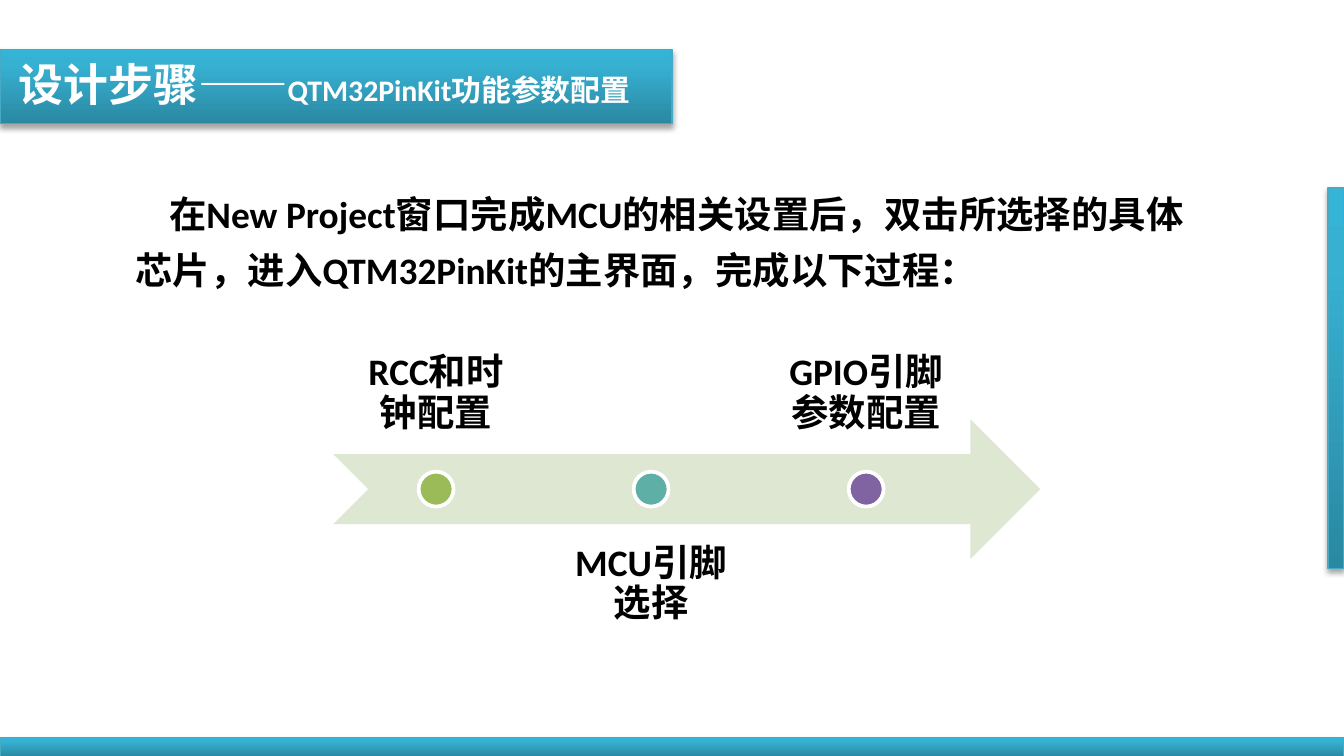
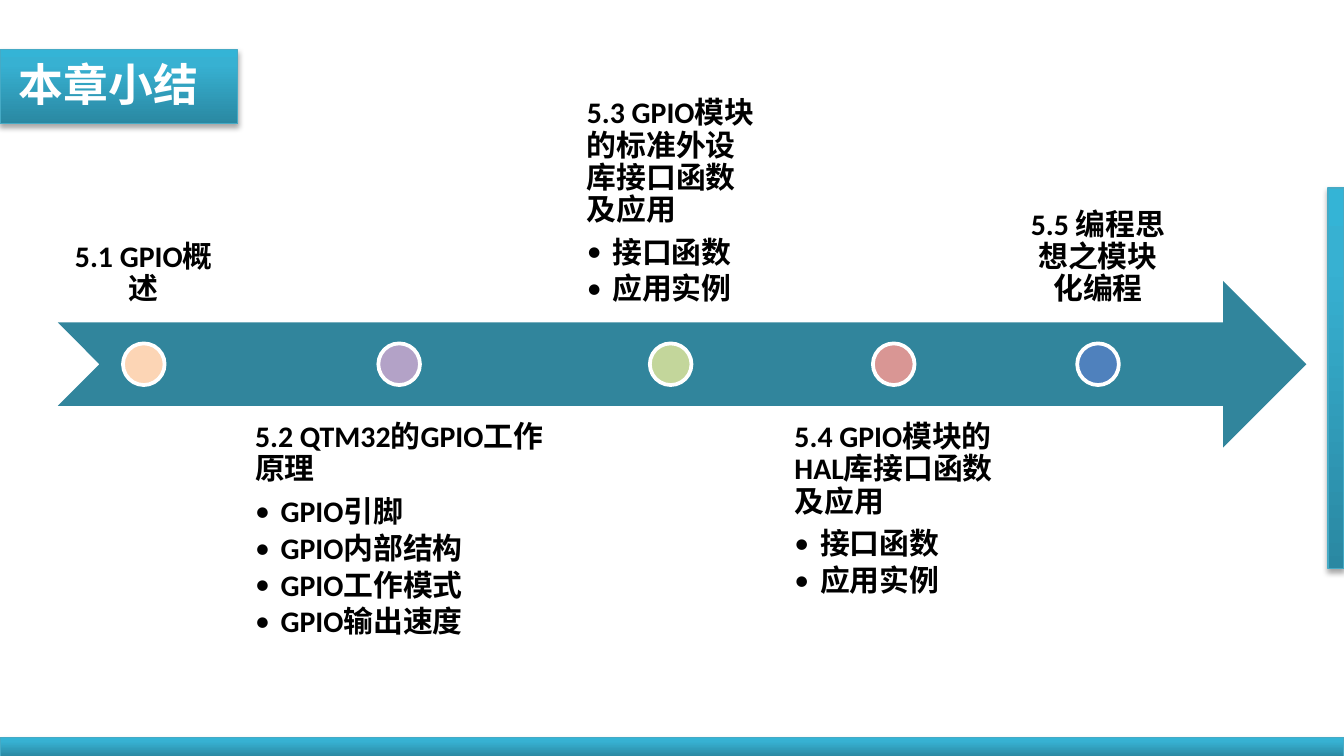
from copy import deepcopy

from lxml.etree import SubElement
from pptx import Presentation
from pptx.dml.color import RGBColor
from pptx.enum.shapes import MSO_SHAPE
from pptx.enum.text import MSO_ANCHOR, MSO_AUTO_SIZE, PP_ALIGN
from pptx.oxml.ns import qn
from pptx.util import Inches, Pt

COLORS = {
    "band_dark": "2A88A2", "band_mid": "37B1D2", "band_light": "34B4D6",
    "band_edge": "46AAC5", "white": "FFFFFF", "black": "000000",
    "pale_green": "DEE7D1", "teal": "31859C",
    "green": "9BBB59", "sea": "5EAFA6", "purple": "8064A2",
    "peach": "FCD5B5", "lilac": "B3A2C7", "lime": "C3D69B",
    "rose": "D99694", "blue": "4F81BD",
}
BAND_STOPS = [(0, "band_dark"), (0.8, "band_mid"), (1, "band_light")]
LATIN, CJK = "Calibri", "Noto Sans CJK SC"

CONFIG_STEPS = [  # label width, dot colour, heading, points
    (1.53, "green", "RCC和时钟配置", []),
    (1.53, "sea", "MCU引脚选择", []),
    (1.53, "purple", "GPIO引脚参数配置", []),
]
LIBRARY_POINTS = ["接口函数", "应用实例"]
CHAPTER_SECTIONS = [
    (1.28, "peach", "5.1 GPIO概述", []),
    (2.46, "lilac", "5.2 QTM32的GPIO工作原理",
     ["GPIO引脚", "GPIO内部结构", "GPIO工作模式", "GPIO输出速度"]),
    (1.52, "lime", "5.3 GPIO模块的标准外设库接口函数及应用", LIBRARY_POINTS),
    (1.74, "rose", "5.4 GPIO模块的HAL库接口函数及应用", LIBRARY_POINTS),
    (1.24, "blue", "5.5 编程思想之模块化编程", []),
]


def rgb(name):
    return RGBColor.from_string(COLORS[name])


def box(left, top, width, height):
    return [Inches(value) for value in (left, top, width, height)]


def add_run(paragraph, text, size, color="black", latin=LATIN):
    run = paragraph.add_run()
    run.text = text
    font = run.font
    font.size, font.bold, font.name = Pt(size), True, latin
    font.color.rgb = rgb(color)
    SubElement(font._element, qn("a:ea"), typeface=CJK)


def add_plain_shape(slide, preset, area, fill):
    shape = slide.shapes.add_shape(preset, *box(*area))
    shape.shadow.inherit = False
    shape.fill.solid()
    shape.fill.fore_color.rgb = rgb(fill)
    shape.line.fill.background()
    return shape


def add_band(slide, area):
    """Add a rectangle with the deck's vertical gradient and soft shadow."""
    band = slide.shapes.add_shape(MSO_SHAPE.RECTANGLE, *box(*area))
    band.line.color.rgb = rgb("band_edge")
    band.line.width = Pt(0.75)
    band.fill.gradient()
    band.fill.gradient_angle = 90
    stop_list = band._element.spPr.find(".//" + qn("a:gsLst"))
    stop_list.append(deepcopy(stop_list[-1]))
    for stop, (position, color) in zip(band.fill.gradient_stops, BAND_STOPS):
        stop.position = position
        stop.color.rgb = rgb(color)
    band.shadow.inherit = False
    effects = band._element.spPr.find(qn("a:effectLst"))
    shadow = SubElement(effects, qn("a:outerShdw"), blurRad=str(Pt(3.1)),
                        dist=str(Pt(1.8)), dir="5400000", rotWithShape="0")
    shade = SubElement(shadow, qn("a:srgbClr"), val=COLORS["black"])
    SubElement(shade, qn("a:alpha"), val="35000")
    return band


def move_to_layout(band, layout):
    layout.shapes._spTree.append(band._element)


def add_title(slide, band_width, text_width, runs, latin=LATIN):
    title = slide.shapes.title
    band = add_band(slide, (0, 0.37, band_width, 0.55))
    title._element.addprevious(band._element)
    title.left, title.top, title.width, title.height = box(0.04, 0.37, text_width, 0.5)
    frame = title.text_frame
    frame.word_wrap = True
    frame.auto_size = MSO_AUTO_SIZE.SHAPE_TO_FIT_TEXT
    frame.vertical_anchor = MSO_ANCHOR.TOP
    paragraph = frame.paragraphs[0]
    paragraph.alignment = PP_ALIGN.LEFT
    for text, size in runs:
        add_run(paragraph, text, size, "white", latin)


def add_intro(slide, text):
    frame = slide.shapes.add_textbox(*box(0.91, 1.29, 8.03, 0.91)).text_frame
    frame.word_wrap = True
    frame.auto_size = MSO_AUTO_SIZE.SHAPE_TO_FIT_TEXT
    paragraph = frame.paragraphs[0]
    paragraph.line_spacing = 1.25
    paragraph._p.get_or_add_pPr().set("indent", str(Inches(0.25)))
    add_run(paragraph, text, 20)


def make_bullet(paragraph):
    paragraph.level = 1
    properties = paragraph._p.get_or_add_pPr()
    properties.set("marL", str(Inches(0.19)))
    properties.set("indent", str(Inches(-0.19)))
    SubElement(properties, qn("a:buFont"), typeface=LATIN)
    SubElement(properties, qn("a:buChar"), char="•")


def add_label(slide, area, anchor, inset, size, heading, points):
    """Add a label whose text block is centred in its box."""
    frame = slide.shapes.add_textbox(*box(*area)).text_frame
    frame.word_wrap = True
    frame.vertical_anchor = anchor
    frame._txBody.bodyPr.set("anchorCtr", "1")
    frame.margin_left = frame.margin_right = Inches(inset)
    frame.margin_top = frame.margin_bottom = Inches(inset)
    for index, text in enumerate([heading, *points]):
        paragraph = frame.add_paragraph() if index else frame.paragraphs[0]
        if index:
            make_bullet(paragraph)
        paragraph.alignment = PP_ALIGN.LEFT if points else PP_ALIGN.CENTER
        paragraph.line_spacing = 0.9
        paragraph.space_after = Pt(size * (0.15 if index else 0.35))
        add_run(paragraph, text, size)


def add_timeline(slide, arrow, color, steps, gap, inset, size):
    """Draw an arrow whose dots carry labels alternately above and below."""
    left, top, _, height = arrow
    add_plain_shape(slide, MSO_SHAPE.NOTCHED_RIGHT_ARROW, arrow, color)
    middle = top + height / 2
    dot = height / 4
    for index, (width, dot_color, heading, points) in enumerate(steps):
        if index % 2:
            label_top, anchor = middle + dot, MSO_ANCHOR.TOP
        else:
            label_top, anchor = middle - dot - height, MSO_ANCHOR.BOTTOM
        add_label(slide, (left, label_top, width, height), anchor, inset,
                  size, heading, points)
        marker = add_plain_shape(
            slide, MSO_SHAPE.OVAL,
            (left + (width - dot) / 2, middle - dot / 2, dot, dot), dot_color)
        marker.line.color.rgb = rgb("white")
        marker.line.width = Pt(2)
        left += width + gap


def main():
    deck = Presentation()
    deck.slide_width = Inches(10)
    deck.slide_height = deck.slide_width * 9 // 16
    title_only = deck.slide_layouts[5]

    configuration = deck.slides.add_slide(title_only)
    for area in [(0, 5.49, 10, 0.14), (9.88, 1.4, 0.12, 2.83)]:
        move_to_layout(add_band(configuration, area), title_only)
    add_title(configuration, 5, 6.95,
              [("设计步骤——", 24), ("QTM32PinKit功能参数配置", 16)])
    add_intro(configuration, "在New Project窗口完成MCU的相关设置后，双击所选择的"
                             "具体芯片，进入QTM32PinKit的主界面，完成以下过程：")
    add_timeline(configuration, (2.48, 3.12, 5.26, 1.04), "pale_green",
                 CONFIG_STEPS, gap=0.07, inset=0.15, size=20)

    summary = deck.slides.add_slide(title_only)
    add_title(summary, 1.77, 6.22, [("本章小结", 24)], CJK)
    add_timeline(summary, (0.43, 2.09, 9.29, 1.24), "teal",
                 CHAPTER_SECTIONS, gap=0.03, inset=0.12, size=16)

    deck.save("out.pptx")


if __name__ == "__main__":
    main()
